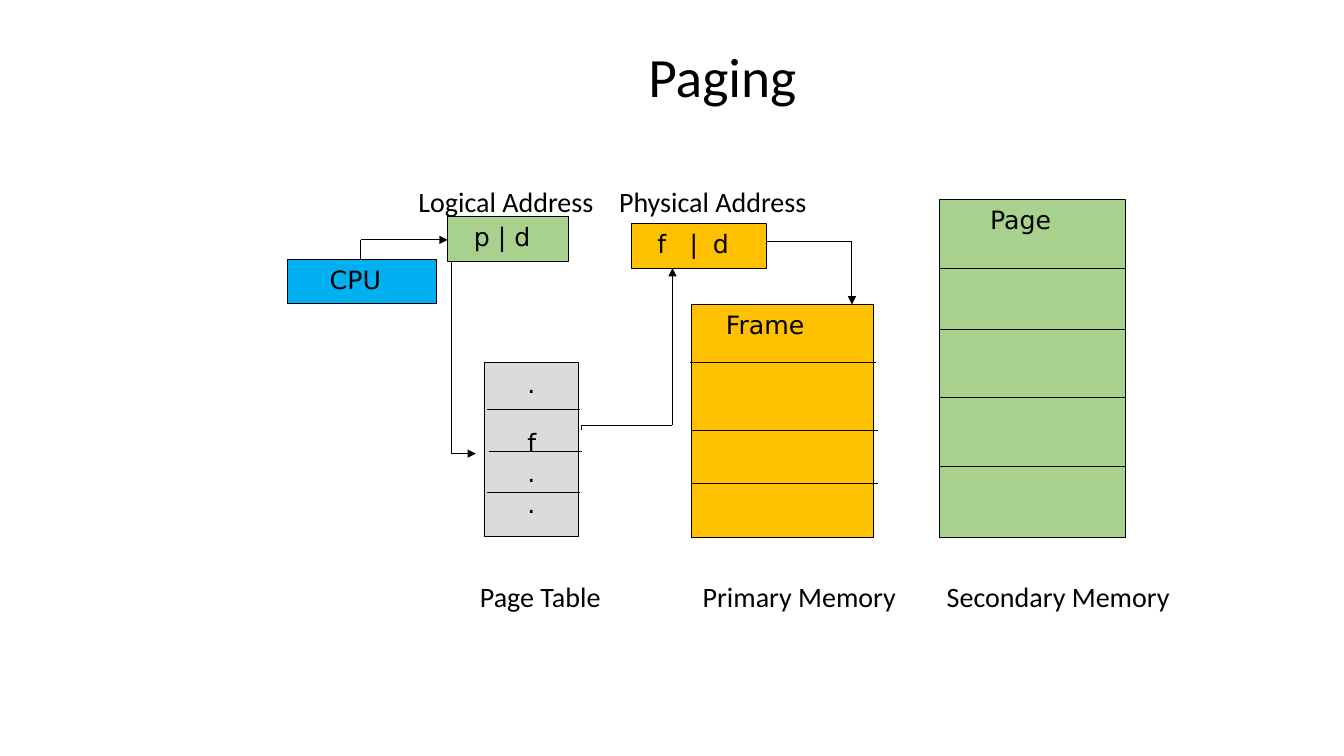
"""Build the Paging slide: address translation from CPU to memory."""
from lxml import etree
from pptx import Presentation
from pptx.dml.color import RGBColor
from pptx.enum.shapes import MSO_CONNECTOR, MSO_SHAPE
from pptx.enum.text import MSO_ANCHOR, PP_ALIGN
from pptx.oxml.ns import qn
from pptx.util import Inches, Pt

STRAIGHT = MSO_CONNECTOR.STRAIGHT
RECT, PROCESS = MSO_SHAPE.RECTANGLE, MSO_SHAPE.FLOWCHART_PROCESS
TOP, MIDDLE, LEFT = MSO_ANCHOR.TOP, MSO_ANCHOR.MIDDLE, PP_ALIGN.LEFT
BLACK = RGBColor(0x00, 0x00, 0x00)
BLUE = RGBColor(0x00, 0xB0, 0xF0)
GREEN = RGBColor(0xA9, 0xD1, 0x8E)
ORANGE = RGBColor(0xFF, 0xC0, 0x00)
GRAY = RGBColor(0xDB, 0xDB, 0xDB)
LABEL_FONT, BOX_FONT = "Calibri", "DejaVu Sans"

TITLE = ("Paging", 0.92, 0.4, 11.5, 0.7, 5.51)
LABELS = [
    ("Logical Address", 4.15, 1.83),
    ("Physical Address", 6.14, 1.83),
    ("Page Table", 4.76, 5.75),
    ("Primary Memory", 6.97, 5.75),
    ("Secondary Memory", 9.39, 5.75),
]
BOXES = [
    (RECT, ["CPU"], 2.85, 2.57, 1.48, 0.44, BLUE, 0.42),
    (PROCESS, ["Page"], 9.32, 1.98, 1.84, 3.35, GREEN, 0.5),
    (PROCESS, ["Frame"], 6.86, 3.02, 1.8, 2.31, ORANGE, 0.34),
    (PROCESS, ["p | d"], 4.44, 2.15, 1.2, 0.44, GREEN, 0.26),
    (PROCESS, ["f\t|\td"], 6.26, 2.22, 1.34, 0.44, ORANGE, 0.26),
    (RECT, [".", "f", ".", "."], 4.81, 3.6, 0.93, 1.72, GRAY, 0.42),
]
ADDRESS_TABS = (0.32, 0.55)
DIVIDERS = [
    (1.85, [(9.32, 2.66), (9.32, 3.27), (9.32, 3.94), (9.32, 4.63)]),
    (1.85, [(6.84, 3.6), (6.86, 4.27), (6.86, 4.8)]),
    (0.92, [(4.83, 4.06), (4.85, 4.48), (4.83, 4.89)]),
]
ARROWS = [
    [(3.58, 2.57), (3.58, 2.38), (4.44, 2.38)],
    [(4.48, 2.59), (4.48, 4.5), (4.72, 4.5)],
    [(5.77, 4.27), (5.77, 4.22), (6.67, 4.22), (6.67, 2.66)],
    [(7.6, 2.4), (8.45, 2.4), (8.45, 3.02)],
]


def set_frame(tf, left, top, anchor):
    tf.word_wrap = True
    tf.vertical_anchor = anchor
    tf.margin_left, tf.margin_top = Inches(left), Inches(top)
    tf.margin_right = tf.margin_bottom = 0


def style(p, font, size):
    p.alignment = LEFT
    p.font.name = font
    p.font.size = Pt(size)
    p.font.color.rgb = BLACK


def add_tabs(p, stops):
    tabs = etree.SubElement(p._p.get_or_add_pPr(), qn("a:tabLst"))
    for stop in stops:
        etree.SubElement(tabs, qn("a:tab"), pos=str(Inches(stop)), algn="l")


def add_label(s, text, x, y, w, h, size, indent=0):
    tf = s.shapes.add_textbox(Inches(x), Inches(y), Inches(w), Inches(h)).text_frame
    set_frame(tf, indent, 0, MIDDLE)
    p = tf.paragraphs[0]
    p.text = text
    style(p, LABEL_FONT, size)


def add_box(s, kind, lines, x, y, w, h, color, indent):
    sp = s.shapes.add_shape(kind, Inches(x), Inches(y), Inches(w), Inches(h))
    sp.shadow.inherit = False
    sp.fill.solid()
    sp.fill.fore_color.rgb = color
    sp.line.color.rgb = BLACK
    sp.line.width = Pt(0.75)
    tf = sp.text_frame
    set_frame(tf, indent, 0.05, TOP)
    for i, text in enumerate(lines):
        p = tf.add_paragraph() if i else tf.paragraphs[0]
        p.text = text
        if "\t" in text:
            add_tabs(p, ADDRESS_TABS)
        if i == 1:
            p.space_before = Pt(21)
        style(p, BOX_FONT, 18)


def add_line(s, start, end, arrow=False):
    line = s.shapes.add_connector(STRAIGHT, *(Inches(v) for v in start + end))
    line.line.color.rgb = BLACK
    line.line.width = Pt(0.75)
    if arrow:
        etree.SubElement(line.line._get_or_add_ln(), qn("a:tailEnd"), type="triangle")
    etree.SubElement(line._element.spPr, qn("a:effectLst"))


def main():
    prs = Presentation()
    prs.slide_width, prs.slide_height = Inches(13.33), Inches(7.5)
    s = prs.slides.add_slide(prs.slide_layouts[6])
    text, x, y, w, h, indent = TITLE
    add_label(s, text, x, y, w, h, 39.6, indent)
    for text, x, y in LABELS:
        add_label(s, text, x, y, 2.4, 0.34, 20)
    for box in BOXES:
        add_box(s, *box)
    for length, starts in DIVIDERS:
        for x, y in starts:
            add_line(s, (x, y), (x + length, y))
    for points in ARROWS:
        legs = list(zip(points, points[1:]))
        for start, end in legs:
            add_line(s, start, end, arrow=end == points[-1])
    prs.save("out.pptx")


if __name__ == "__main__":
    main()
